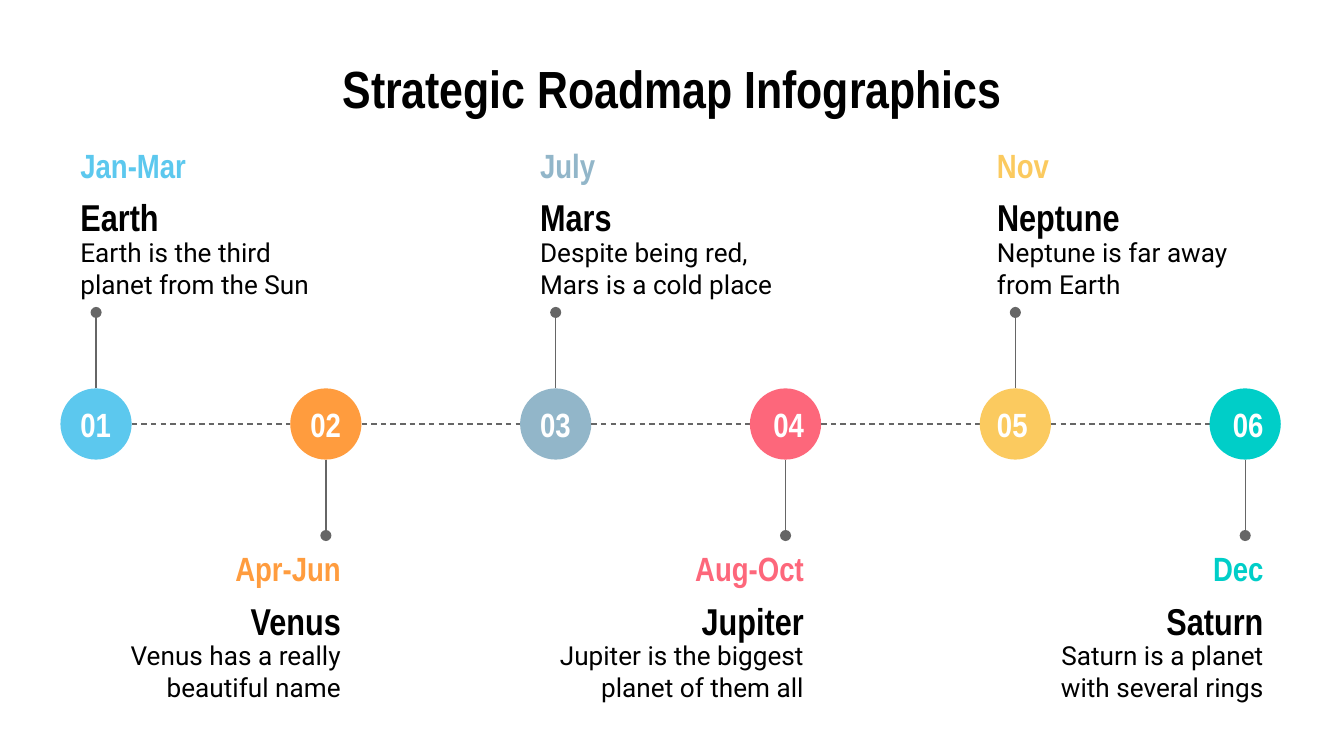
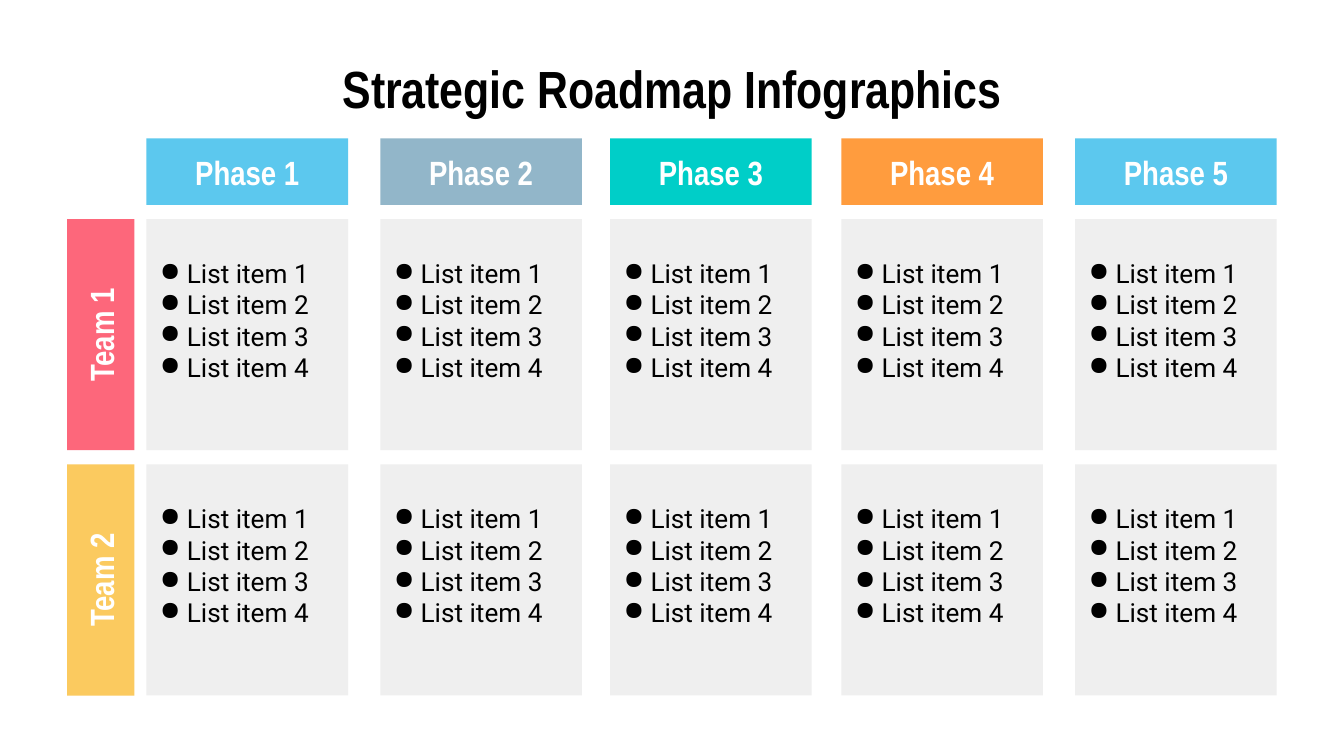
from dataclasses import dataclass
from typing import NamedTuple

from lxml import etree
from pptx import Presentation
from pptx import util as u
from pptx.dml.color import RGBColor
from pptx.enum import dml, shapes, text
from pptx.oxml import ns

# Grid: the slide is 100 columns wide and 56.25 rows high, with square cells
COLUMNS, ROWS = 100, 56.25
CELL = u.Inches(0.1)

# Colours
SKY = RGBColor(0x5C, 0xC8, 0xEE)
ORANGE = RGBColor(0xFF, 0x9C, 0x3E)
STEEL = RGBColor(0x92, 0xB6, 0xC9)
CORAL = RGBColor(0xFD, 0x67, 0x7B)
YELLOW = RGBColor(0xFB, 0xCA, 0x5F)
TEAL = RGBColor(0x00, 0xCE, 0xC8)
PANEL = RGBColor(0xEF, 0xEF, 0xEF)
GREY = RGBColor(0x66, 0x66, 0x66)
BLACK = RGBColor(0, 0, 0)
WHITE = RGBColor(0xFF, 0xFF, 0xFF)

# Text formats
TITLE = dict(name="Arial Narrow", size=u.Pt(28), bold=True)
NAME = dict(name="Arial Narrow", size=u.Pt(20), bold=True)
LABEL = dict(name="Arial Narrow", size=u.Pt(18), bold=True)
BODY = dict(name="Roboto", size=u.Pt(14), bold=False)
LEFT, CENTER, RIGHT = text.PP_ALIGN.LEFT, text.PP_ALIGN.CENTER, text.PP_ALIGN.RIGHT


class Area(NamedTuple):
    left: float
    top: float
    width: float
    height: float

    def lengths(self) -> list[u.Emu]:
        return [cells(value) for value in self]


@dataclass
class Milestone:
    period: str
    planet: str
    detail: str
    color: RGBColor
    edge: float  # the side that its texts line up on
    detail_width: float = 20.3


class Heading(NamedTuple):
    caption: str
    color: RGBColor
    start: float  # left of a phase, top of a team


MILESTONES = [
    Milestone("Jan-Mar", "Earth", "Earth is the third planet from the Sun", SKY, 5),
    Milestone("Apr-Jun", "Venus", "Venus has a really beautiful name", ORANGE, 26.35),
    Milestone("July", "Mars", "Despite being red, Mars is a cold place", STEEL, 39.2),
    Milestone("Aug-Oct", "Jupiter", "Jupiter is the biggest planet of them all",
              CORAL, 60.8, 22.4),
    Milestone("Nov", "Neptune", "Neptune is far away from Earth", YELLOW, 73.2),
    Milestone("Dec", "Saturn", "Saturn is a planet with several rings", TEAL, 95),
]
PHASES = [
    Heading("Phase 1", SKY, 10.9),
    Heading("Phase 2", STEEL, 28.3),
    Heading("Phase 3", TEAL, 45.4),
    Heading("Phase 4", ORANGE, 62.6),
    Heading("Phase 5", SKY, 80),
]
TEAMS = [Heading("Team 1", CORAL, 16.3), Heading("Team 2", YELLOW, 34.55)]
ITEMS = [f"List item {number}" for number in range(1, 5)]

# Timeline measures
CIRCLE, CIRCLE_LEFT, CIRCLE_STEP = 5.3, 4.5, 17.1
AXIS = 31.55
STEM = 5.65

# Phase table measures
CARD_WIDTH, CARD_HEIGHT = 15, 17.2
PHASE_TOP, PHASE_HEIGHT = 10.3, 4.95
TEAM_LEFT, TEAM_WIDTH = 5, 5


def cells(count: float) -> u.Emu:
    return u.Emu(round(count * CELL))


def write(box, lines: list[str], style: dict, color: RGBColor,
          align=LEFT, inset: float = 1) -> None:
    """Fill a box with one paragraph a line, centred in height."""
    frame = box.text_frame
    margins = {f"margin_{side}": cells(inset) for side in ("left", "top", "right", "bottom")}
    layout = dict(word_wrap=True, vertical_anchor=text.MSO_ANCHOR.MIDDLE, **margins)
    for key, value in layout.items():
        setattr(frame, key, value)
    for index, line in enumerate(lines):
        para = frame.add_paragraph() if index else frame.paragraphs[0]
        para.alignment = align
        span = para.add_run()
        span.text = line
        for key, value in style.items():
            setattr(span.font, key, value)
        span.font.color.rgb = color


def add_text(page, area: Area, line: str, style: dict, color: RGBColor, align=LEFT) -> None:
    write(page.shapes.add_textbox(*area.lengths()), [line], style, color, align)


def add_block(page, kind, area: Area, color: RGBColor):
    block = page.shapes.add_shape(kind, *area.lengths())
    block.shadow.inherit = False
    block.fill.solid()
    block.fill.fore_color.rgb = color
    block.line.fill.background()
    return block


def add_line(page, start: tuple, end: tuple, dashed: bool = False, dot: bool = False) -> None:
    line = page.shapes.add_connector(
        shapes.MSO_CONNECTOR.STRAIGHT, *[cells(value) for value in (*start, *end)])
    line.line.color.rgb = GREY
    line.line.width = u.Pt(0.75)
    if dashed:
        line.line.dash_style = dml.MSO_LINE.DASH
    properties = line._element.spPr
    if dot:
        etree.SubElement(properties.find(ns.qn("a:ln")), ns.qn("a:tailEnd"), type="oval")
    etree.SubElement(properties, ns.qn("a:effectLst"))


def add_list(page, area: Area) -> None:
    box = page.shapes.add_textbox(*area.lengths())
    write(box, ITEMS, BODY, BLACK, inset=0)
    box.text_frame.vertical_anchor = text.MSO_ANCHOR.TOP
    for para in box.text_frame.paragraphs:
        properties = para._p.get_or_add_pPr()
        properties.set("marL", str(cells(2)))
        properties.set("indent", str(cells(-2)))
        color = etree.SubElement(properties, ns.qn("a:buClr"))
        etree.SubElement(color, ns.qn("a:srgbClr"), val=str(BLACK))
        etree.SubElement(properties, ns.qn("a:buChar"), char="●")


def add_page(deck):
    page = deck.slides.add_slide(deck.slide_layouts[6])
    page.background.fill.solid()
    page.background.fill.fore_color.rgb = WHITE
    add_text(page, Area(5, 4.5, 90, 4.1), "Strategic Roadmap Infographics",
             TITLE, BLACK, CENTER)
    return page


def build_timeline(deck) -> None:
    page = add_page(deck)
    for index, stone in enumerate(MILESTONES):
        above = index % 2 == 0
        left = CIRCLE_LEFT + index * CIRCLE_STEP
        center = left + CIRCLE / 2
        add_block(page, shapes.MSO_SHAPE.OVAL,
                  Area(left, AXIS - CIRCLE / 2, CIRCLE, CIRCLE), stone.color)
        # Dashed link to the next circle, and stem to the texts
        if index < len(MILESTONES) - 1:
            add_line(page, (left + CIRCLE, AXIS), (left + CIRCLE_STEP, AXIS), dashed=True)
        side = -1 if above else 1
        rim = AXIS + side * CIRCLE / 2
        add_line(page, (center, rim), (center, rim + side * STEM), dot=True)
        # Texts above run right from the edge, texts below end at it
        top = 10.5 if above else 40.5
        rows = [
            (f"{index + 1:02}", AXIS - 1.8, 5.3, 3.6, LABEL, WHITE),
            (stone.period, top, 12, 3.6, LABEL, stone.color),
            (stone.planet, top + 4.6, 17.2, 2.1, NAME, BLACK),
            (stone.detail, top + 7.65, stone.detail_width, 3.6, BODY, BLACK),
        ]
        for line, row, width, height, style, color in rows:
            start = stone.edge if above else stone.edge - width
            add_text(page, Area(start, row, width, height), line, style, color,
                     LEFT if above else RIGHT)


def build_phases(deck) -> None:
    page = add_page(deck)
    rectangle = shapes.MSO_SHAPE.RECTANGLE
    # Phase headings
    for phase in PHASES:
        block = add_block(page, rectangle,
                          Area(phase.start, PHASE_TOP, CARD_WIDTH, PHASE_HEIGHT), phase.color)
        write(block, [phase.caption], LABEL, WHITE, CENTER)
    # Team headings, turned a quarter left, each with its row of cards
    for team in TEAMS:
        shift = (CARD_HEIGHT - TEAM_WIDTH) / 2
        block = add_block(page, rectangle,
                          Area(TEAM_LEFT - shift, team.start + shift, CARD_HEIGHT, TEAM_WIDTH),
                          team.color)
        block.rotation = 270
        write(block, [team.caption], LABEL, WHITE, CENTER)
        for phase in PHASES:
            add_block(page, rectangle,
                      Area(phase.start, team.start, CARD_WIDTH, CARD_HEIGHT), PANEL)
            add_list(page, Area(phase.start + 1, team.start + 2.85, 13.1, 11.5))


def main() -> None:
    deck = Presentation()
    deck.slide_width, deck.slide_height = cells(COLUMNS), cells(ROWS)
    build_timeline(deck)
    build_phases(deck)
    deck.save("out.pptx")


if __name__ == "__main__":
    main()
